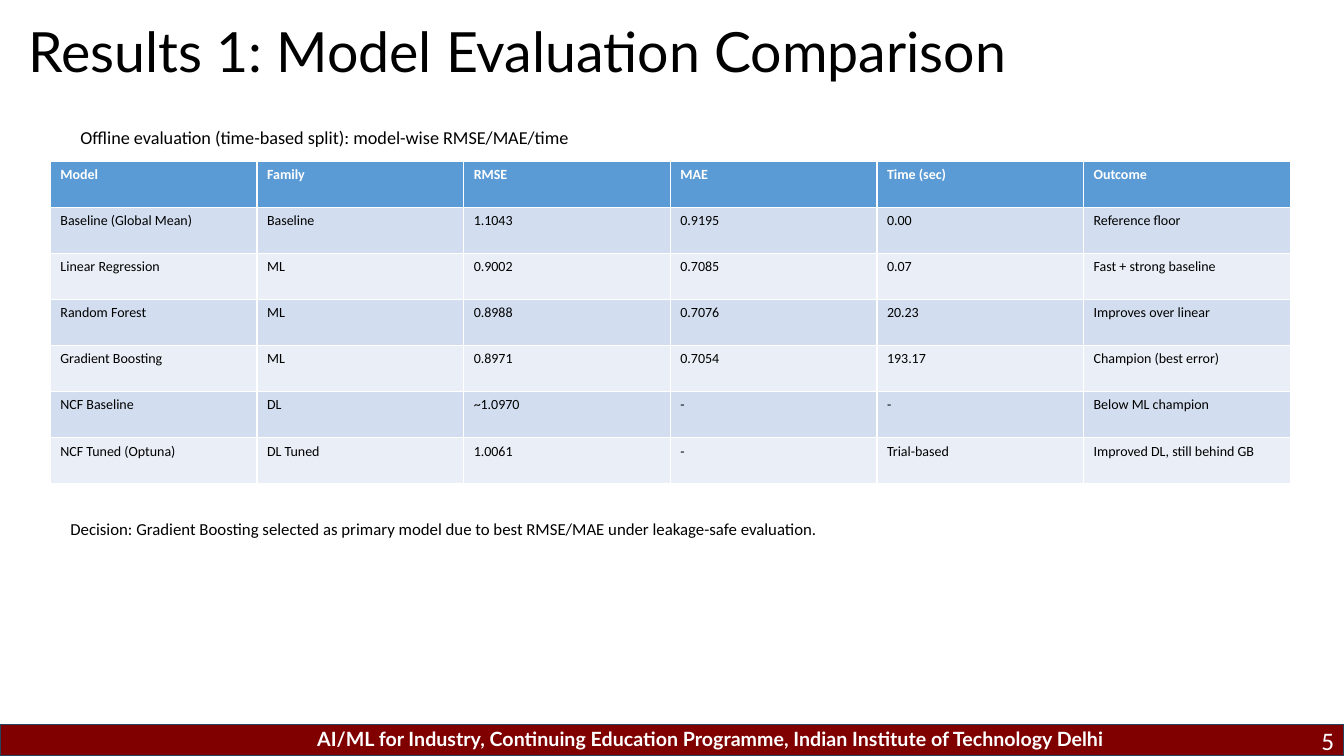
from pptx import Presentation
from pptx.dml.color import RGBColor
from pptx.enum import shapes, text
from pptx.util import Pt

WHITE, BLACK = "FFFFFF", "000000"
HEADER, BAND_DARK, BAND_LIGHT = "5B9BD5", "D2DEEF", "EAEFF7"
MAROON, EDGE = "800000", "28445D"


def rgb(value):
    return RGBColor.from_string(value)


def add_run(tf, content, size, color, font="Calibri", bold=False):
    """Add a styled run to the first paragraph and return the paragraph."""
    p = tf.paragraphs[0]
    r = p.add_run()
    r.text = content
    r.font.name, r.font.size, r.font.bold = font, Pt(size), bold
    r.font.color.rgb = rgb(color)
    return p


prs = Presentation()
prs.slide_width, prs.slide_height = Pt(960), Pt(540)
s = prs.slides.add_slide(prs.slide_layouts[6])

# Footer bar
bar = s.shapes.add_shape(shapes.MSO_SHAPE.RECTANGLE, Pt(0), Pt(517.5), Pt(960), Pt(22.5))
bar.shadow.inherit = False
bar.fill.solid()
bar.fill.fore_color.rgb = rgb(MAROON)
bar.line.color.rgb = rgb(EDGE)
bar.line.width = Pt(1)

# Text boxes: left, top, width, height, content, size, colour, font, bold, alignment
LEFT, RIGHT = text.PP_ALIGN.LEFT, text.PP_ALIGN.RIGHT
footer = "AI/ML for Industry, Continuing Education Programme, Indian Institute of Technology Delhi"
caption = "Offline evaluation (time-based split): model-wise RMSE/MAE/time"
decision = ("Decision: Gradient Boosting selected as primary model due to best RMSE/MAE "
            "under leakage-safe evaluation.")
boxes = [
    (164, 515.5, 631.5, 24.5, footer, 14, WHITE, "Lato", True, RIGHT),
    (13, 17.3, 841.7, 43.9, "Results 1: Model Evaluation Comparison", 39.6, BLACK, "Lato", False, LEFT),
    (918.7, 514.8, 41.3, 24.5, "5", 18, WHITE, "Calibri", False, RIGHT),
    (50.4, 86.4, 849.6, 28.8, caption, 13, BLACK, "Calibri", False, LEFT),
    (43.2, 367.2, 864, 28.8, decision, 12, BLACK, "Calibri", False, LEFT),
]
for left, top, width, height, content, size, color, font, bold, align in boxes:
    sp = s.shapes.add_textbox(Pt(left), Pt(top), Pt(width), Pt(height))
    tf = sp.text_frame
    tf.word_wrap = True
    p = add_run(tf, content, size, color, font, bold)
    p.alignment = align
    if size > 30:
        tf.vertical_anchor = text.MSO_ANCHOR.MIDDLE
        p.line_spacing = 0.9

# Model comparison; the default table style supplies the white borders
results = [
    ("Model", "Family", "RMSE", "MAE", "Time (sec)", "Outcome"),
    ("Baseline (Global Mean)", "Baseline", "1.1043", "0.9195", "0.00", "Reference floor"),
    ("Linear Regression", "ML", "0.9002", "0.7085", "0.07", "Fast + strong baseline"),
    ("Random Forest", "ML", "0.8988", "0.7076", "20.23", "Improves over linear"),
    ("Gradient Boosting", "ML", "0.8971", "0.7054", "193.17", "Champion (best error)"),
    ("NCF Baseline", "DL", "~1.0970", "-", "-", "Below ML champion"),
    ("NCF Tuned (Optuna)", "DL Tuned", "1.0061", "-", "Trial-based", "Improved DL, still behind GB"),
]
table = s.shapes.add_table(len(results), len(results[0]),
                           Pt(36), Pt(115.2), Pt(885.6), Pt(230.4)).table
for i, row in enumerate(results):
    is_header = i == 0
    fill = HEADER if is_header else BAND_DARK if i % 2 else BAND_LIGHT
    for j, value in enumerate(row):
        cell = table.cell(i, j)
        cell.fill.solid()
        cell.fill.fore_color.rgb = rgb(fill)
        add_run(cell.text_frame, value, 10, WHITE if is_header else BLACK, bold=is_header)

prs.save("out.pptx")
